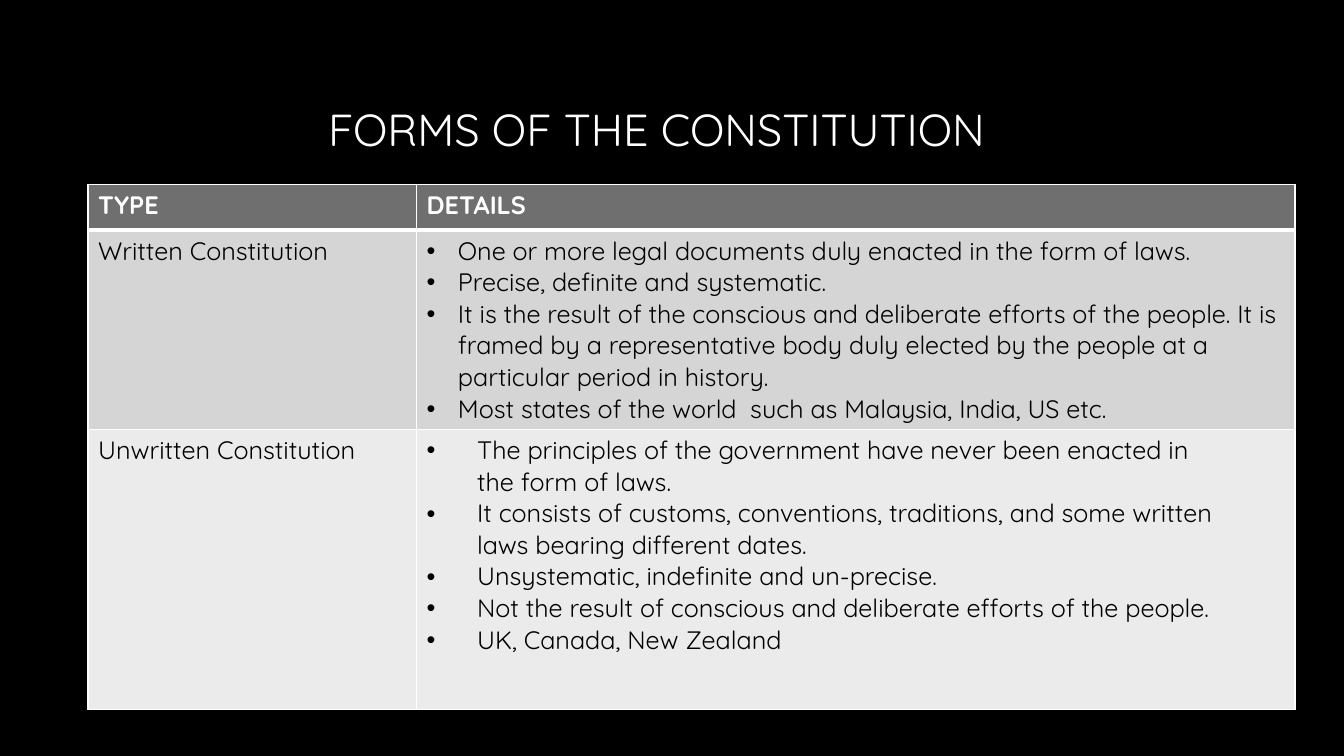
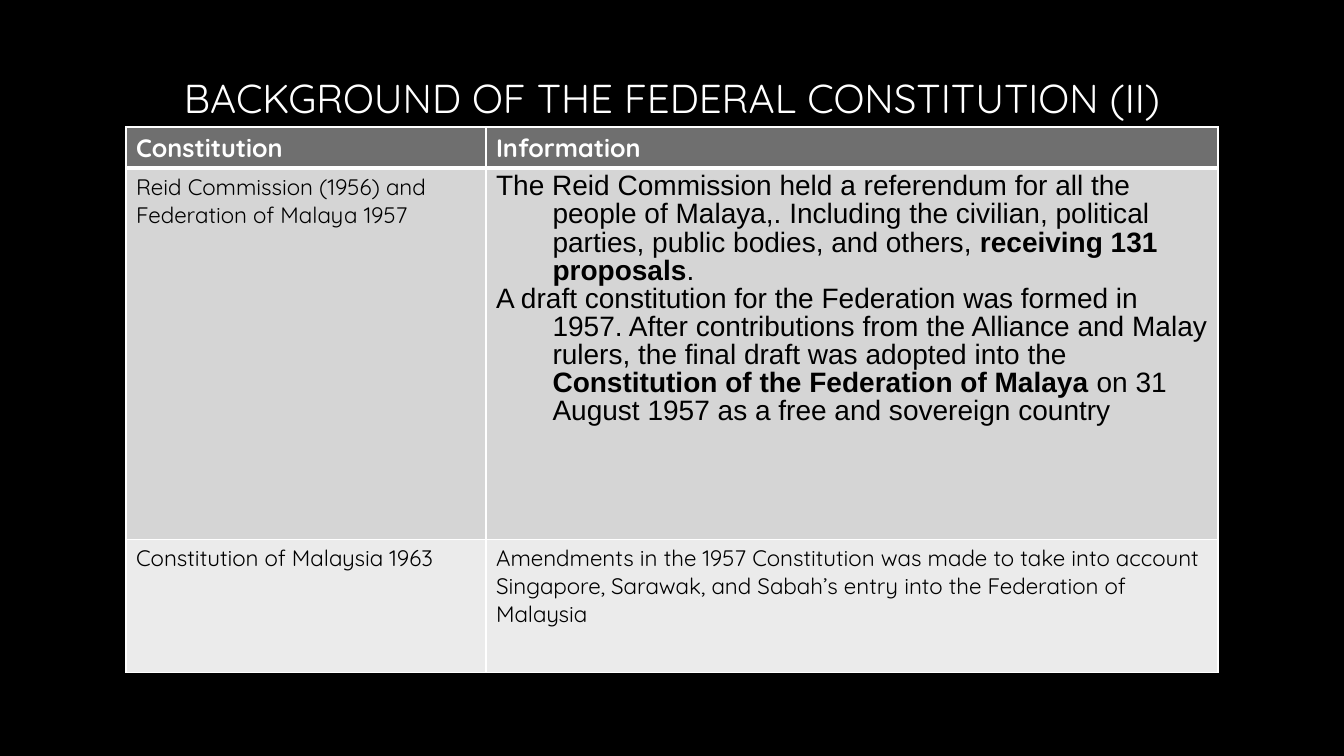
from dataclasses import dataclass

from lxml import etree
from pptx import Presentation
from pptx import util as u
from pptx.dml.color import RGBColor
from pptx.enum import text
from pptx.oxml import ns

BLACK = RGBColor(0x00, 0x00, 0x00)
WHITE = RGBColor(0xFF, 0xFF, 0xFF)
HEADER = RGBColor(0x6F, 0x6F, 0x6F)
BANDS = (RGBColor(0xD5, 0xD5, 0xD5), RGBColor(0xEB, 0xEB, 0xEB))
FONT = "Quicksand"


@dataclass
class Body:
    paragraphs: list
    size: float = 18
    font: str = FONT
    hanging: float = 0
    bullet: bool = False
    spacing: float = 1


class Deck:
    def __init__(self):
        self.presentation = Presentation()
        self.presentation.slide_width = u.Inches(13.33)
        self.presentation.slide_height = u.Inches(7.5)
        self.slide = None

    def x(self, percent):
        return u.Emu(round(self.presentation.slide_width * percent / 100))

    def y(self, percent):
        return u.Emu(round(self.presentation.slide_height * percent / 100))

    def start_slide(self):
        layout = self.presentation.slide_layouts[6]
        self.slide = self.presentation.slides.add_slide(layout)
        self.slide.background.fill.solid()
        self.slide.background.fill.fore_color.rgb = BLACK

    def style(self, paragraph, font, size, color):
        for run in paragraph.runs:
            run.font.name = font
            run.font.size = u.Pt(size)
            run.font.color.rgb = color

    def title(self, wording, left, top, height, size):
        shape = self.slide.shapes.add_textbox(
            self.x(left), self.y(top), self.x(81.25), self.y(height))
        frame = shape.text_frame
        frame.word_wrap = True
        frame.vertical_anchor = text.MSO_ANCHOR.MIDDLE
        frame.text = wording
        paragraph = frame.paragraphs[0]
        paragraph.alignment = text.PP_ALIGN.CENTER
        self.style(paragraph, FONT, size, WHITE)

    def borders(self, cell, top, bottom):
        properties = cell._tc.get_or_add_tcPr()
        for side, width in (("L", 1), ("R", 1), ("T", top), ("B", bottom)):
            line = etree.SubElement(
                properties, ns.qn(f"a:ln{side}"), w=str(u.Pt(width)))
            fill = etree.SubElement(line, ns.qn("a:solidFill"))
            etree.SubElement(fill, ns.qn("a:srgbClr"), val=str(WHITE))

    def hang(self, paragraph, body):
        properties = paragraph._p.get_or_add_pPr()
        indent = u.Inches(body.hanging)
        properties.set("marL", str(indent))
        properties.set("indent", str(-indent))
        if body.bullet:
            etree.SubElement(properties, ns.qn("a:buFont"), typeface="Arial")
            etree.SubElement(properties, ns.qn("a:buChar"), char="•")

    def fill_cell(self, cell, body, color, bold=False):
        frame = cell.text_frame
        for index, wording in enumerate(body.paragraphs):
            paragraph = frame.add_paragraph() if index else frame.paragraphs[0]
            first, *others = wording.split("**")
            paragraph.text = first
            for run in paragraph.runs:
                run.font.bold = bold
            for position, part in enumerate(others):
                run = paragraph.add_run()
                run.text = part
                run.font.bold = position % 2 == 0
            if body.hanging:
                self.hang(paragraph, body)
            paragraph.line_spacing = body.spacing
            self.style(paragraph, body.font, body.size, color)

    def table(self, left, top, columns, rows, header, content):
        table = self.slide.shapes.add_table(
            len(rows), len(columns), self.x(left), self.y(top),
            self.x(sum(columns)), self.y(sum(rows))).table
        table.first_row = table.horz_banding = False
        for column, width in zip(table.columns, columns):
            column.width = self.x(width)
        for row, height in zip(table.rows, rows):
            row.height = self.y(height)
        lines = [[Body([label]) for label in header], *content]
        for r, line in enumerate(lines):
            for c, body in enumerate(line):
                cell = table.cell(r, c)
                self.borders(cell, 3 if r == 1 else 1, 3 if r == 0 else 1)
                cell.fill.solid()
                cell.fill.fore_color.rgb = BANDS[r - 1] if r else HEADER
                self.fill_cell(cell, body, BLACK if r else WHITE, bold=r == 0)


def forms_slide(deck):
    deck.start_slide()
    deck.title("FORMS OF THE CONSTITUTION", 8.25, 3.2, 27.73, 32)
    written = Body([
        "One or more legal documents duly enacted in the form of laws.",
        "Precise, definite and systematic.",
        "It is the result of the conscious and deliberate efforts of the "
        "people. It is framed by a representative body duly elected by the "
        "people at a particular period in history.",
        "Most states of the world  such as Malaysia, India, US etc.",
    ], hanging=0.31, bullet=True)
    unwritten = Body([
        "The principles of the government have never been enacted in\v"
        "the form of laws.",
        "It consists of customs, conventions, traditions, and some written\v"
        "laws bearing different dates.",
        "Unsystematic, indefinite and un-precise.",
        "Not the result of conscious and deliberate efforts of the people.",
        "UK, Canada, New Zealand",
    ], hanging=0.5, bullet=True)
    deck.table(6.55, 24.4, (24.45, 65.35), (6, 26.4, 37.07),
               ("TYPE", "DETAILS"),
               [(Body(["Written Constitution"]), written),
                (Body(["Unwritten Constitution"]), unwritten)])


def background_slide(deck):
    deck.start_slide()
    deck.title("BACKGROUND OF THE FEDERAL CONSTITUTION (II)",
               9.38, 8.93, 7.87, 28.8)
    commission = Body([
        "The Reid Commission held a referendum for all the people of "
        "Malaya,. Including the civilian, political parties, public bodies, "
        "and others, **receiving 131 proposals**.",
        "A draft constitution for the Federation was formed in 1957. After "
        "contributions from the Alliance and Malay rulers, the final draft "
        "was adopted into the **Constitution of the Federation of Malaya** "
        "on 31 August 1957 as a free and sovereign country",
    ], size=20, font="Arial", hanging=0.56, spacing=0.9)
    amendments = Body([
        "Amendments in the 1957 Constitution was made to take into account "
        "Singapore, Sarawak, and Sabah’s entry into the Federation of "
        "Malaysia",
    ], size=16)
    deck.table(9.38, 16.8, (26.78, 54.47), (5.47, 49.07, 17.6),
               ("Constitution", "Information"),
               [(Body(["Reid Commission (1956) and Federation of Malaya 1957"],
                      size=16), commission),
                (Body(["Constitution of Malaysia 1963"], size=16),
                 amendments)])


def main():
    deck = Deck()
    forms_slide(deck)
    background_slide(deck)
    deck.presentation.save("out.pptx")


if __name__ == "__main__":
    main()
